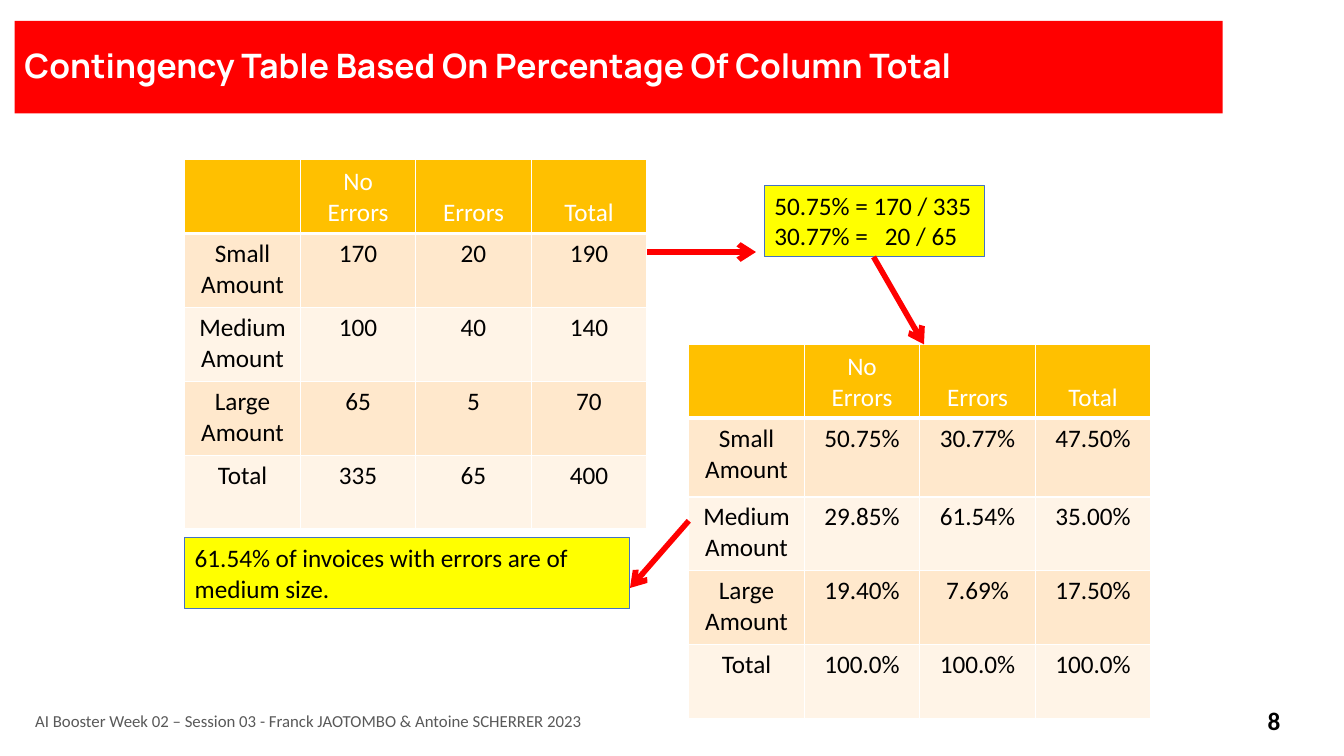
from dataclasses import dataclass
from typing import Optional

from lxml import etree
from pptx import Presentation, util as u
from pptx.dml.color import RGBColor
from pptx.enum import shapes, text
from pptx.oxml import ns
from pptx.slide import Slide

WHITE = RGBColor(0xFF, 0xFF, 0xFF)
BLACK = RGBColor(0x00, 0x00, 0x00)
RED = RGBColor(0xFF, 0x00, 0x00)
YELLOW = RGBColor(0xFF, 0xFF, 0x00)
BLUE = RGBColor(0x44, 0x72, 0xC4)
GREY = RGBColor(0x59, 0x59, 0x59)
GOLD = RGBColor(0xFF, 0xC0, 0x00)
BANDS = (RGBColor(0xFF, 0xE8, 0xCC), RGBColor(0xFF, 0xF4, 0xE7))

COLUMN_WIDTH = 82.5
ROW_HEIGHT = 52.8
HEADER = ("", "No\nErrors", "Errors", "Total")
ROW_LABELS = ("Small\nAmount", "Medium\nAmount", "Large\nAmount", "Total")


@dataclass(frozen=True)
class Box:
    content: str
    left: float
    top: float
    width: float
    height: float
    size: float = 18
    font: str = "Calibri"
    color: RGBColor = BLACK
    bold: bool = False
    fill: Optional[RGBColor] = None
    line: Optional[RGBColor] = None
    middle: bool = False
    centred: bool = False
    wrap: bool = True
    spacing: Optional[float] = None
    tab: Optional[float] = None


@dataclass(frozen=True)
class Contingency:
    left: float
    top: float
    first_row_height: float
    values: tuple[tuple[str, ...], ...]


@dataclass(frozen=True)
class Arrow:
    x1: float
    y1: float
    x2: float
    y2: float


TITLE = Box("Contingency Table Based On Percentage Of Column Total", 10.4, 15, 863, 66,
            size=24, font="Manrope", color=WHITE, bold=True, fill=RED, middle=True, spacing=0.9)
CALLOUTS = (
    Box("50.75% = 170 / 335\n30.77% =\t20 / 65", 546, 132.5, 157, 51,
        fill=YELLOW, line=BLUE, wrap=False, tab=79),
    Box("61.54% of invoices with errors are of medium size.", 132, 384, 318, 51,
        fill=YELLOW, line=BLUE),
)
FOOTERS = (
    Box("AI Booster Week 02 – Session 03 - Franck JAOTOMBO & Antoine SCHERRER 2023",
        18, 500.5, 677, 28.8, size=12, color=GREY, middle=True),
    Box("8", 880, 500.5, 60, 28.8, bold=True, middle=True, centred=True),
)
TABLES = (
    Contingency(132, 114, ROW_HEIGHT, (
        ("170", "20", "190"),
        ("100", "40", "140"),
        ("65", "5", "70"),
        ("335", "65", "400"),
    )),
    Contingency(492, 246, 56.2, (
        ("50.75%", "30.77%", "47.50%"),
        ("29.85%", "61.54%", "35.00%"),
        ("19.40%", "7.69%", "17.50%"),
        ("100.0%", "100.0%", "100.0%"),
    )),
)
ARROWS = (
    Arrow(462, 180, 540, 180),
    Arrow(624, 183.5, 660, 246),
    Arrow(492, 372, 450, 420),
)


def format_text(tf, size: float, color: RGBColor, font: str = "Calibri",
                bold: bool = False, centred: bool = False) -> None:
    for p in tf.paragraphs:
        p.alignment = text.PP_ALIGN.CENTER if centred else text.PP_ALIGN.LEFT
        for r in p.runs:
            r.font.size = u.Pt(size)
            r.font.name = font
            r.font.bold = bold
            r.font.color.rgb = color


def add_box(s: Slide, box: Box) -> None:
    frame = [u.Pt(v) for v in (box.left, box.top, box.width, box.height)]
    if box.fill is None:
        sp = s.shapes.add_textbox(*frame)
    else:
        sp = s.shapes.add_shape(shapes.MSO_SHAPE.RECTANGLE, *frame)
        sp.shadow.inherit = False
        sp.fill.solid()
        sp.fill.fore_color.rgb = box.fill
        if box.line is None:
            sp.line.fill.background()
        else:
            sp.line.color.rgb = box.line
            sp.line.width = u.Pt(0.75)
    tf = sp.text_frame
    tf.text = box.content
    tf.word_wrap = box.wrap
    tf.vertical_anchor = text.MSO_ANCHOR.MIDDLE if box.middle else text.MSO_ANCHOR.TOP
    format_text(tf, box.size, box.color, box.font, box.bold, box.centred)
    for p in tf.paragraphs:
        if box.spacing is not None:
            p.line_spacing = box.spacing
        if box.tab is not None:
            stops = etree.SubElement(p._p.get_or_add_pPr(), ns.qn("a:tabLst"))
            etree.SubElement(stops, ns.qn("a:tab"), pos=str(u.Pt(box.tab)), algn="l")


def add_borders(cell, bottom_width: float) -> None:
    tc_pr = cell._tc.get_or_add_tcPr()
    for side in ("lnL", "lnR", "lnT", "lnB"):
        width = bottom_width if side == "lnB" else 1
        ln = etree.SubElement(tc_pr, ns.qn(f"a:{side}"), w=str(u.Pt(width)))
        fill = etree.SubElement(ln, ns.qn("a:solidFill"))
        etree.SubElement(fill, ns.qn("a:srgbClr"), val=str(WHITE))


def add_contingency(s: Slide, spec: Contingency) -> None:
    rows = [HEADER] + [(label, *vals) for label, vals in zip(ROW_LABELS, spec.values)]
    heights = [ROW_HEIGHT, spec.first_row_height] + [ROW_HEIGHT] * (len(rows) - 2)
    table = s.shapes.add_table(
        len(rows), len(HEADER), u.Pt(spec.left), u.Pt(spec.top),
        u.Pt(COLUMN_WIDTH * len(HEADER)), u.Pt(sum(heights))).table
    table.first_row = table.horz_banding = False
    for column in table.columns:
        column.width = u.Pt(COLUMN_WIDTH)
    for i, (row, height) in enumerate(zip(rows, heights)):
        header = i == 0
        table.rows[i].height = u.Pt(height)
        for j, content in enumerate(row):
            cell = table.cell(i, j)
            cell.text_frame.text = content
            cell.vertical_anchor = text.MSO_ANCHOR.BOTTOM if header else text.MSO_ANCHOR.TOP
            format_text(cell.text_frame, 18, WHITE if header else BLACK, centred=True)
            add_borders(cell, 3 if header else 1)
            cell.fill.solid()
            cell.fill.fore_color.rgb = GOLD if header else BANDS[(i - 1) % 2]


def add_arrow(s: Slide, arrow: Arrow) -> None:
    sp = s.shapes.add_connector(
        shapes.MSO_CONNECTOR.STRAIGHT, u.Pt(arrow.x1), u.Pt(arrow.y1),
        u.Pt(arrow.x2), u.Pt(arrow.y2))
    sp.line.color.rgb = RED
    sp.line.width = u.Pt(4)
    etree.SubElement(sp.line._get_or_add_ln(), ns.qn("a:tailEnd"), type="arrow")
    etree.SubElement(sp._element.spPr, ns.qn("a:effectLst"))


def main() -> None:
    prs = Presentation()
    prs.slide_width, prs.slide_height = u.Pt(960), u.Pt(540)
    s = prs.slides.add_slide(prs.slide_layouts[6])

    # Title bar
    add_box(s, TITLE)

    # Counts and column percentages
    for spec in TABLES:
        add_contingency(s, spec)

    # Explanations and the arrows that link them to the tables
    for box in CALLOUTS:
        add_box(s, box)
    for arrow in ARROWS:
        add_arrow(s, arrow)

    # Footer and page number
    for box in FOOTERS:
        add_box(s, box)

    prs.save("out.pptx")


if __name__ == "__main__":
    main()
